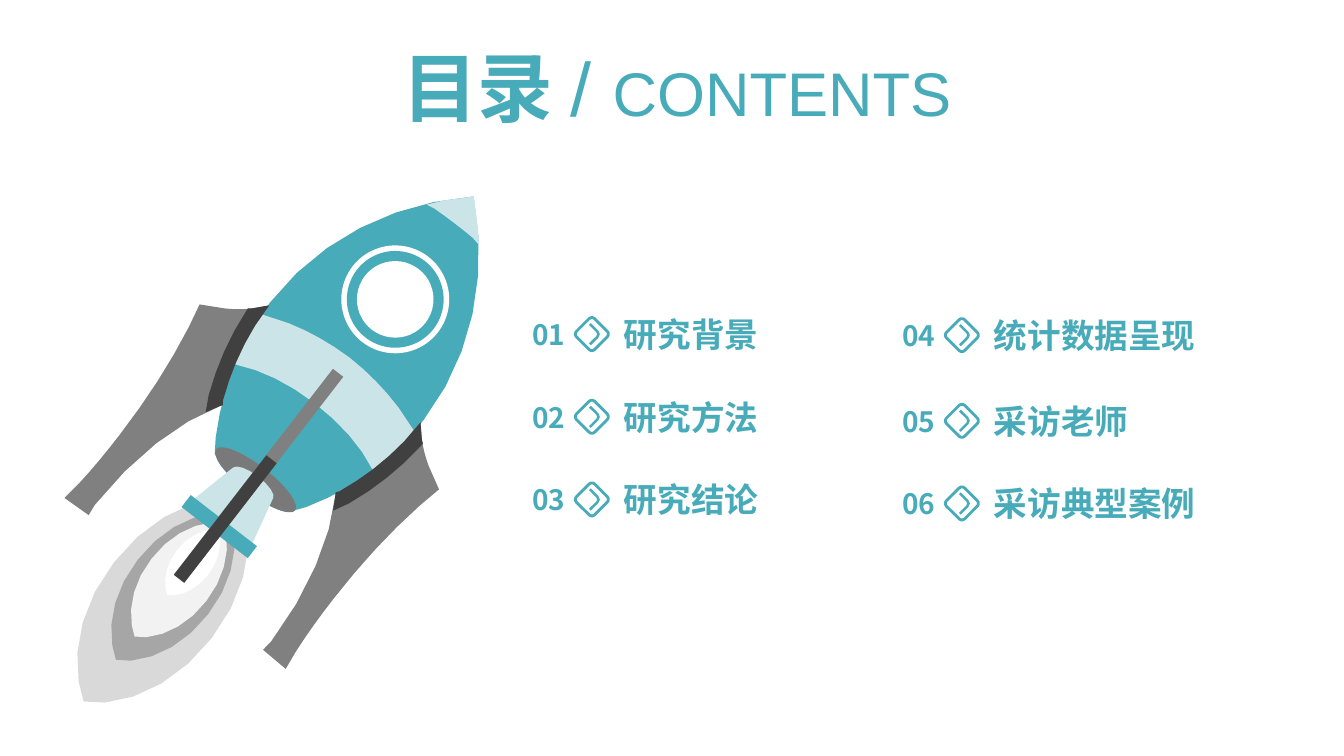
"""Build a contents slide with a rocket beside six numbered topics."""
import math

import pptx
import pptx.dml.color
import pptx.enum.shapes
import pptx.enum.text
import pptx.oxml
import pptx.oxml.ns
import pptx.util

COLUMNS, ROWS = 1333, 750
CELL = pptx.util.Inches(0.01)
TILT = 37.7
AXIS = (342, 361)
CJK = "Noto Sans CJK SC"
COLORS = {
    "teal": "47ABB9", "pale": "CBE4E8", "white": "FFFFFF", "mist": "F2F2F2",
    "smoke": "D9D9D9", "ash": "A6A6A6", "steel": "808080", "nozzle": "797979",
    "dark": "404040",
}
ELLIPSE = pptx.enum.shapes.MSO_SHAPE.OVAL
BAR = pptx.enum.shapes.MSO_SHAPE.RECTANGLE
DIAMOND = pptx.enum.shapes.MSO_SHAPE.ROUNDED_RECTANGLE

CHEVRON = ("M -1 -11 L 6.5 -3.5 C 8.5 -1.5 8.5 1.5 6.5 3.5 L -1 11 L -2.8 9.2 "
           "L 4.5 2 C 5.5 1 5.5 -1 4.5 -2 L -2.8 -9.2")
HULL = ("M 470 195 L 470 197 C 484 274 469 353 420 417 C 389 457 349 486 304 503 "
        "L 286 508 C 278 508 261 500 245 487 C 228 474 216 461 214 452 "
        "L 213 450 L 214 434 C 220 386 238 340 268 300 C 317 237 390 201 469 195")
BAND = ("M 347 355 C 366 370 382 387 395 404 L 411 428 L 395 445 "
        "L 370 466 L 369 465 C 358 443 338 420 312 400 "
        "C 286 380 259 367 235 362 L 233 361 L 248 331 L 260 312 "
        "L 287 321 C 307 329 327 340 347 355")
NOSE = ("M 470 195 L 474 226 L 475 243 L 469 236 C 457 226 444 216 431 207 "
        "L 423 203 L 440 199 L 469 195")
ENGINE = ("M 256 473 C 267 481 273 491 271 494 L 249 542 L 190 497 L 231 464 "
          "C 234 461 245 464 256 473")
FLAME = ("M 78.5 -101 L 83.5 -81 C 89.5 -45 78.5 0 48.5 38 "
         "C 19.5 76 -20.5 99 -57.5 102 L -78.5 101 L -83.5 81 "
         "C -89.5 45 -78.5 1 -48.5 -37 C -19.5 -75 20.5 -98 57.5 -101")
FIN = ("M 267 303 L 253 323 C 238 347 228 372 221 398 L 221 402 L 218 403 "
       "C 178 418 132 453 94 501 L 88 511 L 64 494 L 78 480 C 92 465 106 448 119 431 "
       "C 146 396 169 360 187 325 L 198 302 L 223 306 C 232 307 241 307 250 306")
FIN_EDGE = ("M 267 303 L 253 323 C 238 347 228 372 221 398 L 221 402 L 218 403 "
            "L 204 409 L 207 392 C 215 363 227 335 244 309 L 246 306 L 250 306")

FLAMES = [(161.5, 595, 1, "smoke"), (171.5, 582, 0.72, "ash"),
          (177.5, 575, 0.56, "mist"), (191, 558, 0.32, "white")]
PORTHOLE = [(107, "white"), (96, "teal"), (76, "white")]
TOPICS = [
    (518, [310, 392, 474], ["研究背景", "研究方法", "研究结论"]),
    (885, [311, 396, 478], ["统计数据呈现", "采访老师", "采访典型案例"]),
]


def cells(*values):
    """Convert grid counts to lengths."""
    return [round(value * CELL) for value in values]


def rgb(color):
    """Return a named colour."""
    return pptx.dml.color.RGBColor.from_string(COLORS[color])


def paint(sp, color):
    """Give a shape a flat fill without line or shadow."""
    sp.shadow.inherit = False
    sp.fill.solid()
    sp.fill.fore_color.rgb = rgb(color)
    sp.line.fill.background()


def outline_points(outline, steps):
    """Return the points of an outline, with its curves sampled."""
    result = []
    for part in outline.replace("L", "|L").replace("C", "|C").split("|"):
        numbers = [float(n) for n in part[1:].split()]
        points = list(zip(numbers[::2], numbers[1::2]))
        if part[0] != "C":
            result += points
            continue
        knots = [result[-1]] + points
        for t in (i / steps for i in range(1, steps + 1)):
            weights = ((1 - t) ** 3, 3 * t * (1 - t) ** 2, 3 * t * t * (1 - t), t ** 3)
            result.append(tuple(sum(w * k[axis] for w, k in zip(weights, knots))
                                for axis in (0, 1)))
    return result


def add_outline(shapes, outline, color, move=lambda x, y: (x, y), steps=4):
    """Draw a filled outline after moving each of its points."""
    points = [cells(*move(*point)) for point in outline_points(outline, steps)]
    builder = shapes.build_freeform(*points[0], scale=1.0)
    builder.add_line_segments(points[1:], close=True)
    paint(builder.convert_to_shape(), color)


def placed(cx, cy, scale=1):
    """Return a move that scales about zero and shifts to a centre."""
    return lambda x, y: (cx + x * scale, cy + y * scale)


def mirrored(x, y):
    """Reflect a point across the rocket's axis."""
    nx, ny = math.cos(math.radians(TILT)), math.sin(math.radians(TILT))
    distance = (x - AXIS[0]) * nx + (y - AXIS[1]) * ny
    return x - 2 * distance * nx, y - 2 * distance * ny


def add_tilted(shapes, kind, box, color):
    """Add a preset shape turned to the rocket's angle."""
    sp = shapes.add_shape(kind, *cells(*box))
    sp.rotation = TILT
    paint(sp, color)


def add_icon(shapes, cx, cy):
    """Add a rounded diamond frame around a chevron."""
    icon = shapes.add_group_shape().shapes
    add_outline(icon, CHEVRON, "teal", placed(cx, cy), steps=2)
    sp = icon.add_shape(DIAMOND, *cells(cx - 12.75, cy - 12.75, 25.5, 25.5))
    sp.rotation = 45
    sp.adjustments[0] = 0.15
    sp.shadow.inherit = False
    sp.fill.background()
    sp.line.color.rgb = rgb("teal")
    sp.line.width = pptx.util.Pt(2)


def add_text(shapes, box, *runs, font=CJK, align="LEFT", wrap=True):
    """Add a one-line text box from (text, size, bold) runs."""
    tf = shapes.add_textbox(*cells(*box)).text_frame
    tf.word_wrap = wrap
    tf.auto_size = pptx.enum.text.MSO_AUTO_SIZE.SHAPE_TO_FIT_TEXT
    p = tf.paragraphs[0]
    p.alignment = pptx.enum.text.PP_ALIGN[align]
    for text, size, bold in runs:
        r = p.add_run()
        r.text = text
        r.font.size = pptx.util.Pt(size)
        r.font.bold = bold
        r.font.color.rgb = rgb("teal")
        r.font.name = font
        ea = pptx.oxml.parse_xml(f'<a:ea {pptx.oxml.ns.nsdecls("a")} typeface="{CJK}"/>')
        r.font._element.append(ea)


def add_topic(shapes, left, top, number, title):
    """Add one numbered topic with its diamond icon."""
    add_text(shapes, (left, top, 55, 44), (f"{number:02}", 20, True), wrap=False)
    add_text(shapes, (left + 91, top - 3.5, 256, 50), (title, 24, True))
    add_icon(shapes, left + 69, top + 21.5)


def add_rocket(shapes):
    """Add the rocket as one group."""
    rocket = shapes.add_group_shape().shapes
    add_outline(rocket, HULL, "teal", steps=6)
    for cx, cy, scale, color in FLAMES:
        add_outline(rocket, FLAME, color, placed(cx, cy, scale))
    add_tilted(rocket, ELLIPSE, (204, 462, 99, 28), "nozzle")
    add_outline(rocket, BAND, "pale")
    add_outline(rocket, NOSE, "pale")
    for size, color in PORTHOLE:
        add_tilted(rocket, ELLIPSE, (392 - size / 2, 297 - size / 2, size, size), color)
    add_outline(rocket, ENGINE, "pale")
    add_tilted(rocket, BAR, (176, 515, 83, 15), "teal")
    add_tilted(rocket, BAR, (250, 343, 13, 258), "steel")
    add_tilted(rocket, BAR, (217, 440, 13, 150), "dark")
    for outline, color in ((FIN, "steel"), (FIN_EDGE, "dark")):
        add_outline(rocket, outline, color)
        add_outline(rocket, outline, color, mirrored)


def main():
    """Build and save the slide."""
    prs = pptx.Presentation()
    prs.slide_width, prs.slide_height = cells(COLUMNS, ROWS)
    s = prs.slides.add_slide(prs.slide_layouts[6])
    add_rocket(s.shapes)
    add_text(s.shapes, (330, 36, 683, 101), ("目录 ", 54, True), ("/ ", 54, False),
             ("CONTENTS", 44, False), font="Arial", align="CENTER")
    number = 0
    for left, tops, titles in TOPICS:
        for top, title in zip(tops, titles):
            number += 1
            add_topic(s.shapes, left, top, number, title)
    prs.save("out.pptx")


if __name__ == "__main__":
    main()
